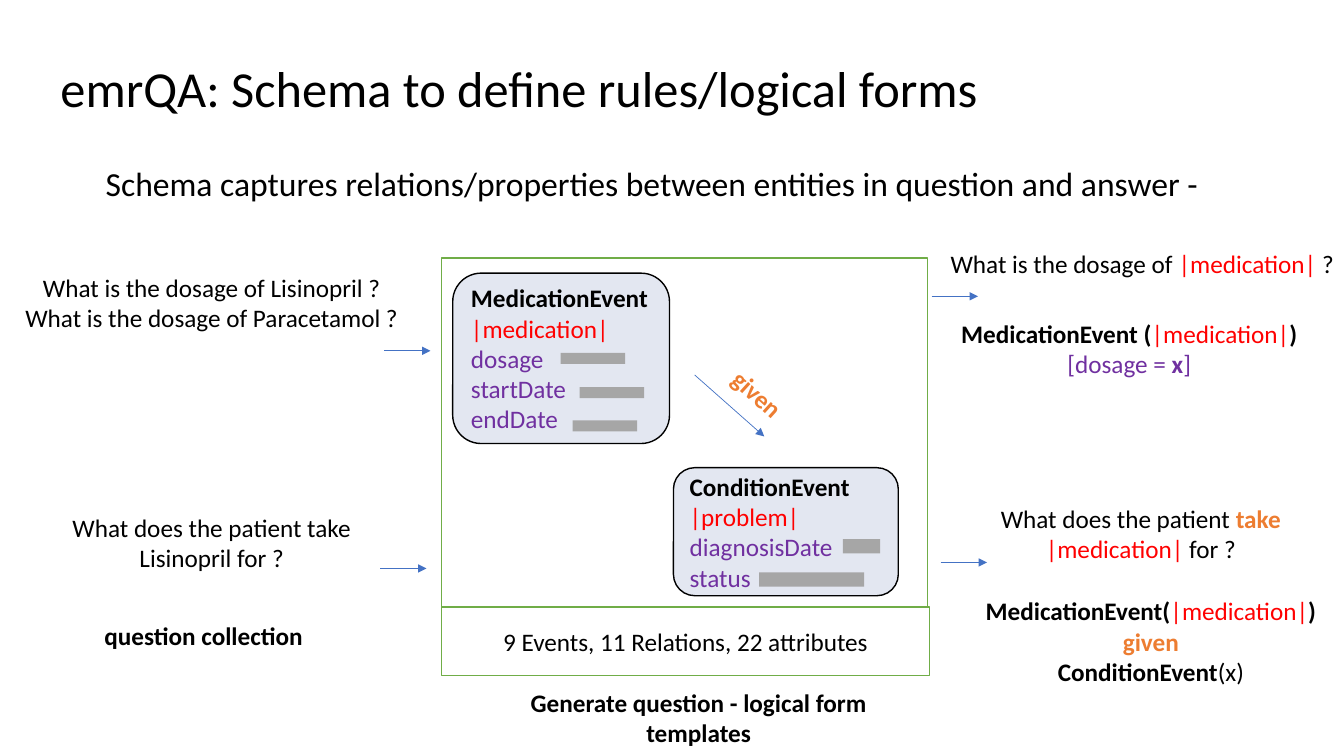
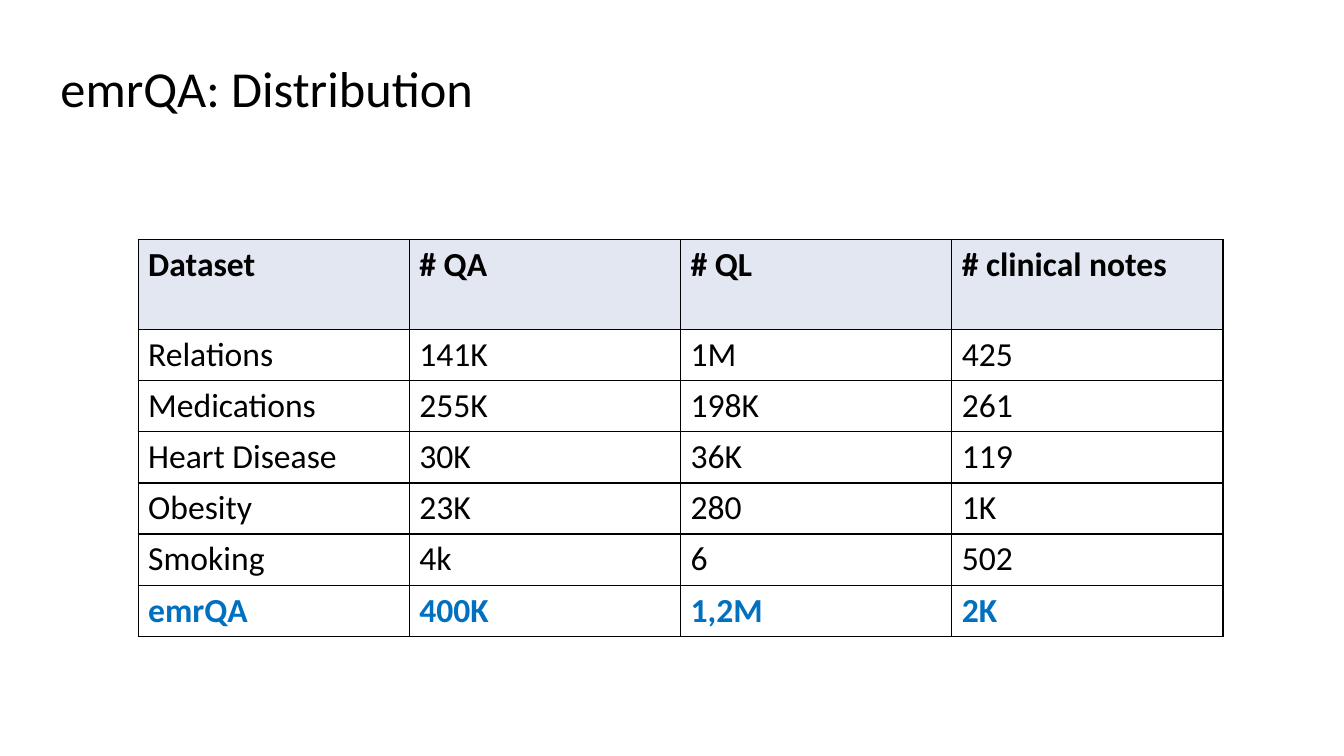
from typing import NamedTuple

import lxml.etree
import pptx
import pptx.dml.color
import pptx.enum.shapes
import pptx.enum.text
import pptx.oxml.ns
import pptx.util

Inches = pptx.util.Inches
Pt = pptx.util.Pt
RGBColor = pptx.dml.color.RGBColor
Align = pptx.enum.text.PP_ALIGN
Anchor = pptx.enum.text.MSO_ANCHOR
ShapeType = pptx.enum.shapes.MSO_SHAPE
qn = pptx.oxml.ns.qn

BLACK = RGBColor(0x00, 0x00, 0x00)
WHITE = RGBColor(0xFF, 0xFF, 0xFF)
RED = RGBColor(0xFF, 0x00, 0x00)
PURPLE = RGBColor(0x70, 0x30, 0xA0)
ORANGE = RGBColor(0xED, 0x7D, 0x31)
GREEN = RGBColor(0x70, 0xAD, 0x47)
GRAY = RGBColor(0xA6, 0xA6, 0xA6)
ARROW_BLUE = RGBColor(0x44, 0x72, 0xC4)
TOTAL_BLUE = RGBColor(0x00, 0x70, 0xC0)
PALE_BLUE = RGBColor(0xE3, 0xE7, 0xF1)
FONT = "Calibri"


class Span(NamedTuple):
    text: str
    color: RGBColor = BLACK
    bold: bool = False


class Box(NamedTuple):
    left: float
    top: float
    width: float
    height: float

    def lengths(self) -> tuple:
        return tuple(Inches(value) for value in self)


class Label(NamedTuple):
    box: Box
    lines: list[list[Span]]
    align: Align = Align.CENTER
    size: int = 18
    rotation: float = 0
    wrap: bool = True
    line_spacing: float = 1.0


class Panel(NamedTuple):
    box: Box
    kind: ShapeType
    fill: RGBColor
    outline: RGBColor | None = None
    lines: list[list[Span]] = []
    align: Align = Align.LEFT


class Arrow(NamedTuple):
    start_x: float
    start_y: float
    end_x: float
    end_y: float


MEDICATION = Span("|medication|", RED)

PANELS = [
    # Schema frame and its summary band
    Panel(Box(4.38, 2.56, 4.82, 3.46), ShapeType.RECTANGLE, WHITE, GREEN),
    Panel(Box(4.38, 6.02, 4.84, 0.68), ShapeType.RECTANGLE, WHITE, GREEN,
          [[Span("9 Events, 11 Relations, 22 attributes")]], Align.CENTER),
    # Events
    Panel(Box(4.49, 2.71, 2.15, 1.69), ShapeType.ROUNDED_RECTANGLE, PALE_BLUE, BLACK,
          [[Span("MedicationEvent", bold=True)], [MEDICATION], [Span("dosage", PURPLE)],
           [Span("startDate", PURPLE)], [Span("endDate", PURPLE)]]),
    Panel(Box(6.68, 4.64, 2.23, 1.27), ShapeType.ROUNDED_RECTANGLE, PALE_BLUE, BLACK,
          [[Span("ConditionEvent", bold=True)], [Span("|problem|", RED)],
           [Span("diagnosisDate", PURPLE)], [Span("status", PURPLE)]]),
]

VALUE_BARS = [
    Box(5.56, 3.5, 0.64, 0.11),
    Box(5.75, 3.84, 0.64, 0.11),
    Box(5.68, 4.17, 0.64, 0.11),
    Box(8.36, 5.35, 0.37, 0.14),
    Box(7.53, 5.68, 1.04, 0.14),
]

LABELS = [
    Label(Box(0.95, 1.61, 11.5, 0.5),
          [[Span("Schema captures relations/properties between entities in question and answer -")]],
          Align.LEFT, size=24, line_spacing=0.9),
    # Questions
    Label(Box(0.1, 2.65, 4, 0.71),
          [[Span("What is the dosage of Lisinopril ?")],
           [Span("What is the dosage of Paracetamol ?")]]),
    Label(Box(0.1, 5.03, 4, 0.71),
          [[Span("What does the patient take")], [Span("Lisinopril for ?")]]),
    # Templates and logical forms
    Label(Box(9.33, 2.41, 4, 0.4),
          [[Span("What is the dosage of "), MEDICATION, Span(" ?")]], Align.LEFT, wrap=False),
    Label(Box(9.2, 3.11, 4, 0.71),
          [[Span("MedicationEvent (", bold=True), MEDICATION, Span(")", bold=True)],
           [Span("[dosage = ", PURPLE), Span("x", PURPLE, True), Span("]", PURPLE)]]),
    Label(Box(9.4, 4.94, 3.83, 0.71),
          [[Span("What does the patient "), Span("take", ORANGE, True)],
           [MEDICATION, Span(" for ?")]]),
    Label(Box(9.63, 5.86, 3.57, 1.01),
          [[Span("MedicationEvent(", bold=True), MEDICATION, Span(")", bold=True)],
           [Span("given", ORANGE, True)],
           [Span("ConditionEvent", bold=True), Span("(x)")]], wrap=False),
    # Relation name and captions
    Label(Box(7.08, 3.85, 1.19, 0.4), [[Span("given", ORANGE, True)]], Align.LEFT, rotation=42.1),
    Label(Box(0.93, 6.11, 2.18, 0.4), [[Span("question collection", bold=True)]], wrap=False),
    Label(Box(4.73, 6.77, 4.4, 0.71),
          [[Span("Generate question - logical form templates", bold=True)]]),
]

ARROWS = [
    Arrow(6.89, 3.72, 7.58, 4.33),
    Arrow(3.81, 3.48, 4.27, 3.48),
    Arrow(9.24, 2.94, 9.7, 2.94),
    Arrow(3.77, 5.64, 4.23, 5.64),
    Arrow(9.33, 5.58, 9.79, 5.58),
]

DISTRIBUTION = [
    ("Dataset", "# QA", "# QL", "# clinical notes"),
    ("Relations", "141K", "1M", "425"),
    ("Medications", "255K", "198K", "261"),
    ("Heart Disease", "30K", "36K", "119"),
    ("Obesity", "23K", "280", "1K"),
    ("Smoking", "4k", "6", "502"),
    ("emrQA", "400K", "1,2M", "2K"),
]


def write_lines(frame, lines: list[list[Span]], size: int,
                align: Align = Align.LEFT, line_spacing: float = 1.0) -> None:
    for index, spans in enumerate(lines):
        paragraph = frame.add_paragraph() if index else frame.paragraphs[0]
        paragraph.alignment = align
        paragraph.line_spacing = line_spacing
        for span in spans:
            run = paragraph.add_run()
            run.text = span.text
            run.font.name = FONT
            run.font.size = Pt(size)
            run.font.bold = span.bold
            run.font.color.rgb = span.color


def add_titled_slide(presentation, title: str):
    slide = presentation.slides.add_slide(presentation.slide_layouts[5])
    shape = slide.shapes.title
    shape.left, shape.top, shape.width, shape.height = Box(0.5, 0.5, 11, 0.8).lengths()
    shape.text_frame.auto_size = pptx.enum.text.MSO_AUTO_SIZE.NONE
    shape.text_frame.vertical_anchor = Anchor.MIDDLE
    write_lines(shape.text_frame, [[Span(title)]], 36, line_spacing=0.9)
    return slide


def add_label(slide, label: Label) -> None:
    shape = slide.shapes.add_textbox(*label.box.lengths())
    shape.rotation = label.rotation
    shape.text_frame.word_wrap = label.wrap
    write_lines(shape.text_frame, label.lines, label.size, label.align, label.line_spacing)


def add_panel(slide, panel: Panel) -> None:
    shape = slide.shapes.add_shape(panel.kind, *panel.box.lengths())
    shape.shadow.inherit = False
    shape.fill.solid()
    shape.fill.fore_color.rgb = panel.fill
    if panel.outline is None:
        shape.line.fill.background()
    else:
        shape.line.color.rgb = panel.outline
        shape.line.width = Pt(1)
    shape.text_frame.vertical_anchor = Anchor.MIDDLE
    write_lines(shape.text_frame, panel.lines, 18, panel.align)


def add_arrow(slide, arrow: Arrow) -> None:
    connector = slide.shapes.add_connector(
        pptx.enum.shapes.MSO_CONNECTOR.STRAIGHT, *(Inches(value) for value in arrow))
    connector.line.color.rgb = ARROW_BLUE
    connector.line.width = Pt(0.5)
    line = connector.line._get_or_add_ln()
    lxml.etree.SubElement(line, qn("a:tailEnd"), type="triangle")
    lxml.etree.SubElement(connector._element.spPr, qn("a:effectLst"))


def add_cell_borders(cell) -> None:
    properties = cell._tc.get_or_add_tcPr()
    for side in ("a:lnL", "a:lnR", "a:lnT", "a:lnB"):
        line = lxml.etree.SubElement(properties, qn(side), w=str(Pt(1)))
        fill = lxml.etree.SubElement(line, qn("a:solidFill"))
        lxml.etree.SubElement(fill, qn("a:srgbClr"), val=str(BLACK))


def add_distribution_table(slide) -> None:
    row_count, column_count = len(DISTRIBUTION), len(DISTRIBUTION[0])
    frame = slide.shapes.add_table(
        row_count, column_count, *Box(1.37, 2.38, 10.76, 3.89).lengths())
    table = frame.table
    for column in table.columns:
        column.width = Inches(2.69)
    for row_index, values in enumerate(DISTRIBUTION):
        is_header, is_total = row_index == 0, row_index == row_count - 1
        table.rows[row_index].height = Inches(0.89 if is_header else 0.5)
        color = TOTAL_BLUE if is_total else BLACK
        for column_index, value in enumerate(values):
            cell = table.cell(row_index, column_index)
            add_cell_borders(cell)
            if is_header:
                cell.fill.solid()
                cell.fill.fore_color.rgb = PALE_BLUE
            else:
                cell.fill.background()
            write_lines(cell.text_frame, [[Span(value, color, is_header or is_total)]], 24)


def main() -> None:
    presentation = pptx.Presentation()
    presentation.slide_width = Inches(13.33)
    presentation.slide_height = Inches(7.5)

    # Schema diagram
    schema_slide = add_titled_slide(presentation, "emrQA: Schema to define rules/logical forms")
    for panel in PANELS:
        add_panel(schema_slide, panel)
    for bar in VALUE_BARS:
        add_panel(schema_slide, Panel(bar, ShapeType.RECTANGLE, GRAY))
    for label in LABELS:
        add_label(schema_slide, label)
    for arrow in ARROWS:
        add_arrow(schema_slide, arrow)

    # Distribution table
    add_distribution_table(add_titled_slide(presentation, "emrQA: Distribution"))

    presentation.save("out.pptx")


if __name__ == "__main__":
    main()
